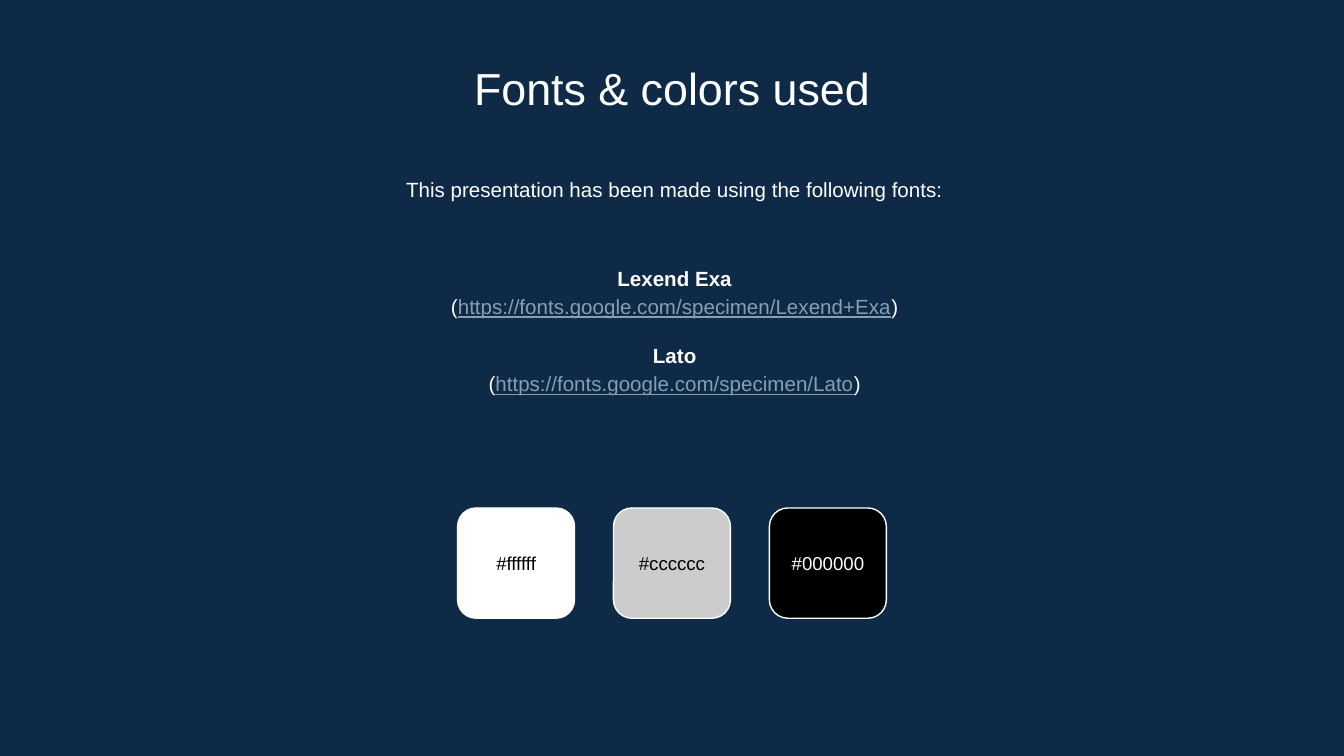
from pptx import Presentation
from pptx.dml.color import RGBColor
from pptx.enum.shapes import MSO_SHAPE
from pptx.enum.text import MSO_ANCHOR, PP_ALIGN
from pptx.util import Pt

PX = 4572
COLORS = {
    "navy": "0E2A47",
    "white": "FFFFFF",
    "gray": "CCCCCC",
    "black": "000000",
    "link": "869FB2",
}


def rgb(name):
    return RGBColor.from_string(COLORS[name])


class Deck:
    font = "Arial"

    def __init__(self, width, height):
        self.prs = Presentation()
        self.prs.slide_width = width * PX
        self.prs.slide_height = height * PX

    def add_slide(self, background):
        self.s = self.prs.slides.add_slide(self.prs.slide_layouts[6])
        fill = self.s.background.fill
        fill.solid()
        fill.fore_color.rgb = rgb(background)

    def text_box(self, x, y, w, h, anchor=MSO_ANCHOR.MIDDLE):
        tf = self.s.shapes.add_textbox(x * PX, y * PX, w * PX, h * PX).text_frame
        tf.word_wrap = True
        tf.vertical_anchor = anchor
        tf.margin_left = tf.margin_right = 20 * PX
        tf.margin_top = tf.margin_bottom = 20 * PX
        return tf

    def paragraph(self, tf, text, size, color="white", bold=False, spacing=1.0, before=0):
        p = tf.add_paragraph() if tf.paragraphs[0].runs else tf.paragraphs[0]
        p.alignment = PP_ALIGN.CENTER
        p.line_spacing = spacing
        p.space_before = Pt(before)
        p.font.name = self.font
        p.font.size = Pt(size)
        p.font.bold = bold
        self.run(p, text, color)
        return p

    def run(self, p, text, color="white", underline=False):
        r = p.add_run()
        r.text = text
        r.font.color.rgb = rgb(color)
        r.font.underline = underline

    def font_credit(self, tf, name, url, before):
        self.paragraph(tf, name, 11, bold=True, spacing=1.15, before=before)
        p = self.paragraph(tf, "(", 11, spacing=1.15)
        self.run(p, url, "link", underline=True)
        self.run(p, ")")

    def swatch(self, x, y, w, h, fill, label_color):
        sp = self.s.shapes.add_shape(MSO_SHAPE.ROUNDED_RECTANGLE, x * PX, y * PX, w * PX, h * PX)
        sp.adjustments[0] = 0.167
        sp.shadow.inherit = False
        sp.fill.solid()
        sp.fill.fore_color.rgb = rgb(fill)
        sp.line.color.rgb = rgb("white")
        sp.line.width = Pt(0.75)
        label_h = 96
        tf = self.text_box(x, y + (h - label_h) // 2, w, label_h)
        self.paragraph(tf, "#" + COLORS[fill].lower(), 10, label_color)


def main():
    deck = Deck(2000, 1125)
    deck.add_slide("navy")

    title = deck.text_box(229, 70, 1542, 106, MSO_ANCHOR.TOP)
    deck.paragraph(title, "Fonts & colors used", 24)

    intro = deck.text_box(233, 238, 1542, 96, MSO_ANCHOR.TOP)
    deck.paragraph(intro, "This presentation has been made using the following fonts:", 11, spacing=1.15)

    credits = deck.text_box(233, 353, 1542, 274)
    deck.font_credit(credits, "Lexend Exa", "https://fonts.google.com/specimen/Lexend+Exa", 0)
    deck.font_credit(credits, "Lato", "https://fonts.google.com/specimen/Lato", 11)

    swatches = [("white", "black"), ("gray", "black"), ("black", "white")]
    for i, (fill, label_color) in enumerate(swatches):
        deck.swatch(681 + i * 232, 756, 174, 164, fill, label_color)

    deck.prs.save("out.pptx")


if __name__ == "__main__":
    main()
